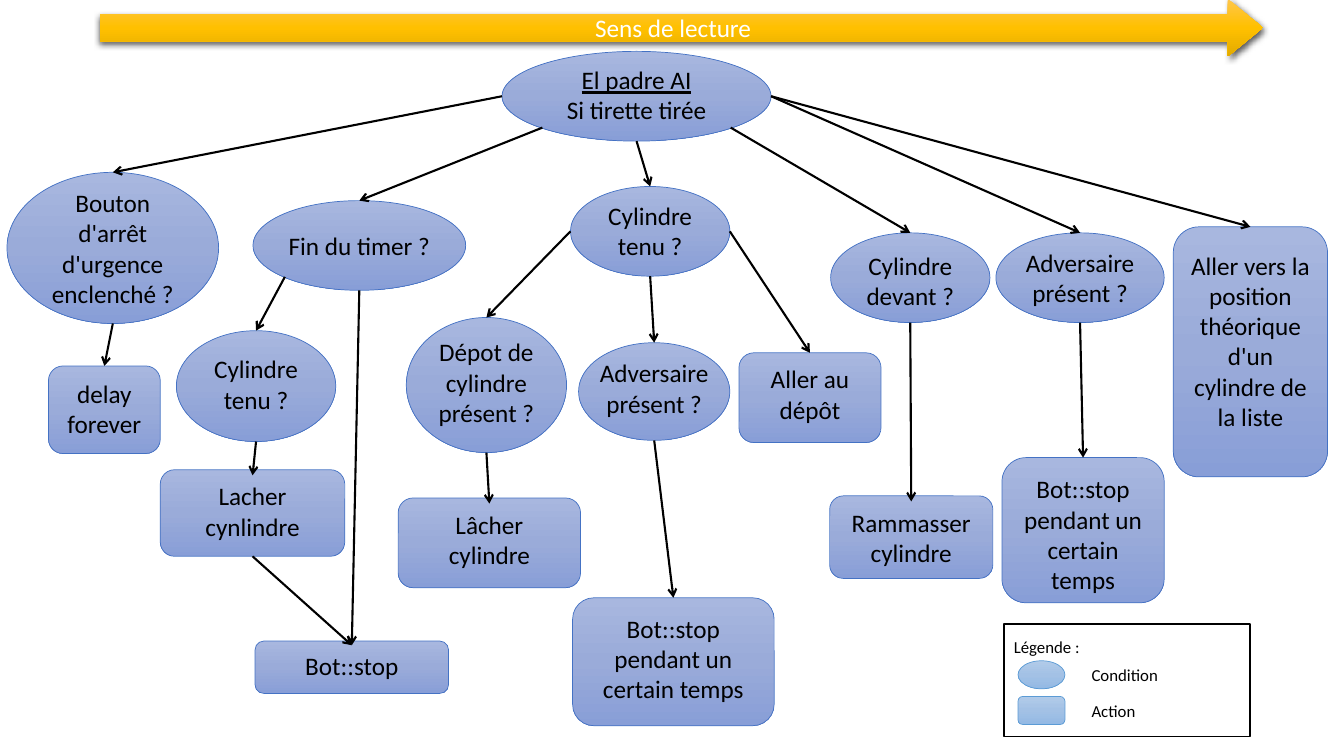
"""Draw the robot's decision tree with its reading arrow and legend."""
from copy import deepcopy
from typing import NamedTuple

from lxml import etree
from pptx import Presentation
from pptx.dml.color import RGBColor
from pptx.enum.shapes import MSO_CONNECTOR, MSO_SHAPE
from pptx.enum.text import MSO_ANCHOR, PP_ALIGN
from pptx.oxml.ns import qn
from pptx.util import Pt

CONDITION, ACTION = MSO_SHAPE.OVAL, MSO_SHAPE.ROUNDED_RECTANGLE
ARROW, RECTANGLE = MSO_SHAPE.RIGHT_ARROW, MSO_SHAPE.RECTANGLE
STRAIGHT = MSO_CONNECTOR.STRAIGHT
TOP_ANCHOR, MIDDLE = MSO_ANCHOR.TOP, MSO_ANCHOR.MIDDLE
LEFT_ALIGN, CENTER = PP_ALIGN.LEFT, PP_ALIGN.CENTER

FONT = "Calibri"
BLACK, WHITE = "000000", "FFFFFF"
TREE_FILL, TREE_EDGE = ("A8B7DF", "9AABD9", "889ED7"), "4472C4"
KEY_FILL, KEY_EDGE = ("B1CBE9", "A3C1E5", "93B9E4"), "5B9BD5"
GOLD_FILL = ("FFC64B", "FFC000", "E3AB00")

TOP, BOTTOM, LEFT, RIGHT = (0.5, 0), (0.5, 1), (0, 0.5), (1, 0.5)
LOWER_LEFT, LOWER_RIGHT = (0.15, 0.85), (0.85, 0.85)
LABEL_INSET, LINE_HEIGHT, LABEL_PADDING = 3, 21.6, 7.2


class Box(NamedTuple):
    """Left, top, width and height in points."""
    left: float
    top: float
    width: float
    height: float

    def site(self, fraction: tuple) -> tuple:
        """Return the point at a fraction of the width and height."""
        return self.left + fraction[0] * self.width, self.top + fraction[1] * self.height


class Node(NamedTuple):
    """A condition or action; without label_top the text sits in the shape."""
    kind: int
    box: Box
    text: str
    label_top: float | None
    lines: int
    title: str = ""


class Link(NamedTuple):
    """An arrow between two nodes, its tip lowered by depth."""
    source: str
    start: tuple
    target: str
    depth: float = 0


NODES = {
    "padre": Node(CONDITION, Box(358.6, 36.7, 192.2, 64.1), "Si tirette tirée", 42.5, 2, "El padre AI"),
    "urgence": Node(CONDITION, Box(5, 123.1, 151.2, 108), "Bouton d'arrêt d'urgence enclenché ?", None, 4),
    "delay": Node(ACTION, Box(34.6, 261.4, 79.9, 62.6), "delay forever", 266.4, 2),
    "timer": Node(CONDITION, Box(180.7, 143.3, 151.9, 64.1), "Fin du timer ?", 161.3, 1),
    "timer_tenu": Node(CONDITION, Box(126, 236.2, 113.8, 79.2), "Cylindre tenu ?", 249.1, 2),
    "timer_lacher": Node(ACTION, Box(114.5, 335.5, 131.8, 61.9), "Lacher cynlindre", 339.8, 2),
    "stop": Node(ACTION, Box(182.2, 457.9, 138.2, 37.4), "Bot::stop", 460.8, 1),
    "tenu": Node(CONDITION, Box(407.5, 133.2, 113.8, 64.1), "Cylindre tenu ?", 139.7, 2),
    "depot": Node(CONDITION, Box(290.2, 226.8, 114.5, 96.5), "Dépot de cylindre présent ?", 236.9, 3),
    "lacher": Node(ACTION, Box(284.4, 355.7, 130.3, 64.1), "Lâcher cylindre", 360, 2),
    "tenu_adversaire": Node(CONDITION, Box(413.3, 244.8, 108, 69.8), "Adversaire présent ?", 252, 2),
    "tenu_pause": Node(ACTION, Box(409, 427, 144, 91.4), "Bot::stop pendant un certain temps", 434.2, 3),
    "aller_depot": Node(ACTION, Box(527.8, 252, 101.5, 64.1), "Aller au dépôt", 256.3, 2),
    "devant": Node(CONDITION, Box(593.3, 166.3, 113.8, 64.1), "Cylindre devant ?", 175, 2),
    "ramasser": Node(ACTION, Box(592.6, 354.2, 116.6, 59), "Rammasser cylindre", 358.6, 2),
    "adversaire": Node(CONDITION, Box(711.4, 166.3, 120.2, 64.1), "Adversaire présent ?", 172.8, 2),
    "pause": Node(ACTION, Box(715.7, 326.9, 115.9, 103.7), "Bot::stop pendant un certain temps", 334.8, 4),
    "position": Node(ACTION, Box(838.1, 162, 110.2, 178.6),
                     "Aller vers la position théorique d'un cylindre de la liste", 175, 6),
}

LINKS = (
    Link("padre", LEFT, "urgence"),
    Link("padre", LOWER_LEFT, "timer"),
    Link("padre", BOTTOM, "tenu"),
    Link("padre", LOWER_RIGHT, "devant"),
    Link("padre", RIGHT, "adversaire"),
    Link("padre", RIGHT, "position"),
    Link("urgence", BOTTOM, "delay"),
    Link("timer", LOWER_LEFT, "timer_tenu"),
    Link("timer", BOTTOM, "stop", 3),
    Link("timer_tenu", BOTTOM, "timer_lacher", 4),
    Link("timer_lacher", BOTTOM, "stop", 3),
    Link("tenu", LEFT, "depot"),
    Link("tenu", BOTTOM, "tenu_adversaire"),
    Link("tenu", RIGHT, "aller_depot"),
    Link("depot", BOTTOM, "lacher", 4),
    Link("tenu_adversaire", BOTTOM, "tenu_pause"),
    Link("devant", BOTTOM, "ramasser", 4),
    Link("adversaire", BOTTOM, "pause"),
)


def rgb(color: str) -> RGBColor:
    """Turn a hex string into a colour."""
    return RGBColor.from_string(color)


def write(frame, text: str, size: float = 18, color: str = BLACK, align=CENTER,
          anchor=TOP_ANCHOR, title: str = "") -> None:
    """Write text, under an underlined title line if there is one."""
    frame.word_wrap = True
    frame.vertical_anchor = anchor
    paragraph = frame.paragraphs[0]
    paragraph.alignment = align
    for content, underlined in ((title, True), (text, False)):
        if not content:
            continue
        run = paragraph.add_run()
        run.text = content
        run.font.name, run.font.size = FONT, Pt(size)
        run.font.underline = underlined
        run.font.color.rgb = rgb(color)
        if underlined:
            paragraph.add_line_break()


def add_label(slide, box: Box, text: str, **style) -> None:
    """Add a text box."""
    write(slide.shapes.add_textbox(*map(Pt, box)).text_frame, text, **style)


def add_outline(slide, kind: int, box: Box, edge: str | None, width: float = 0.5):
    """Add a preset shape with its outline and no shadow."""
    shape = slide.shapes.add_shape(kind, *map(Pt, box))
    shape.shadow.inherit = False
    if edge:
        shape.line.color.rgb = rgb(edge)
        shape.line.width = Pt(width)
    else:
        shape.line.fill.background()
    return shape


def shade(shape, colors: tuple) -> None:
    """Fill a shape with three colours from top to bottom."""
    shape.fill.gradient()
    shape.fill.gradient_angle = 270
    stops = shape._element.spPr.find(qn("a:gradFill")).find(qn("a:gsLst"))
    middle = deepcopy(stops[0])
    middle.set("pos", "50000")
    stops.insert(1, middle)
    for stop, color in zip(shape.fill.gradient_stops, colors):
        stop.color.rgb = rgb(color)


def add_node(slide, node: Node) -> None:
    """Draw a node and its text."""
    shape = add_outline(slide, node.kind, node.box, TREE_EDGE)
    shade(shape, TREE_FILL)
    if node.label_top is None:
        write(shape.text_frame, node.text, anchor=MIDDLE)
        return
    label = Box(node.box.left + LABEL_INSET, node.label_top, node.box.width - 2 * LABEL_INSET,
                node.lines * LINE_HEIGHT + LABEL_PADDING)
    add_label(slide, label, node.text, title=node.title)


def add_link(slide, link: Link) -> None:
    """Draw an arrow to the top of its target."""
    start = NODES[link.source].box.site(link.start)
    x, y = NODES[link.target].box.site(TOP)
    connector = slide.shapes.add_connector(STRAIGHT, *map(Pt, (*start, x, y + link.depth)))
    connector.line.color.rgb = rgb(BLACK)
    connector.line.width = Pt(1.5)
    etree.SubElement(connector.line._get_or_add_ln(), qn("a:tailEnd"), type="arrow")
    etree.SubElement(connector._element.spPr, qn("a:effectLst"))


def add_reading_arrow(slide) -> None:
    """Draw the shadowed arrow that shows the reading direction."""
    arrow = add_outline(slide, ARROW, Box(71.3, -0.7, 830.9, 41), None)
    arrow.adjustments[0], arrow.adjustments[1] = 0.47, 0.61
    shade(arrow, GOLD_FILL)
    effects = arrow._element.spPr.find(qn("a:effectLst"))
    shadow = etree.SubElement(effects, qn("a:outerShdw"), blurRad=str(Pt(4.5)), dist=str(Pt(1.5)),
                              dir="5400000", algn="ctr", rotWithShape="0")
    tint = etree.SubElement(shadow, qn("a:srgbClr"), val=BLACK)
    etree.SubElement(tint, qn("a:alpha"), val="63000")
    write(arrow.text_frame, "Sens de lecture", color=WHITE, anchor=MIDDLE)


def add_legend(slide) -> None:
    """Draw the legend frame and one row per kind of node."""
    frame = add_outline(slide, RECTANGLE, Box(717.1, 445.7, 175.7, 80.6), BLACK, 1)
    frame.fill.solid()
    frame.fill.fore_color.rgb = rgb(WHITE)
    frame.text_frame.margin_top = Pt(9)
    write(frame.text_frame, "Légende :", 12, align=LEFT_ALIGN)
    for row, (kind, name) in enumerate(((CONDITION, "Condition"), (ACTION, "Action"))):
        top = 472 + 25.5 * row
        shade(add_outline(slide, kind, Box(727.2, top, 33.5, 20), KEY_EDGE), KEY_FILL)
        add_label(slide, Box(772.6, top - 0.5, 115, 21.6), name, size=12, align=LEFT_ALIGN)


def main() -> None:
    """Build the slide and save it."""
    deck = Presentation()
    deck.slide_width, deck.slide_height = Pt(960), Pt(540)
    slide = deck.slides.add_slide(deck.slide_layouts[6])
    for node in NODES.values():
        add_node(slide, node)
    for link in LINKS:
        add_link(slide, link)
    add_reading_arrow(slide)
    add_legend(slide)
    deck.save("out.pptx")


main()
